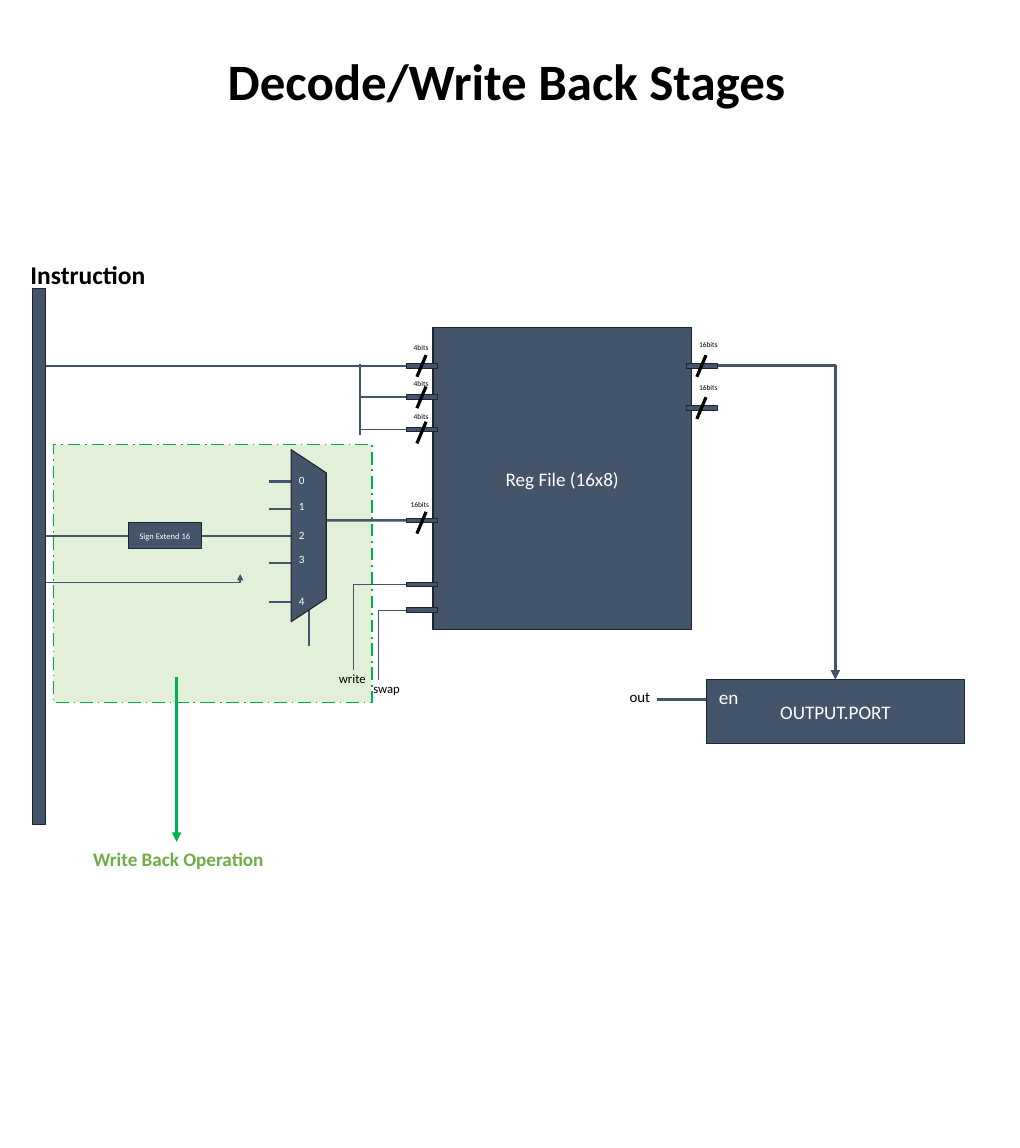
from dataclasses import dataclass

from pptx import Presentation
from pptx.dml.color import RGBColor
from pptx.enum.dml import MSO_LINE
from pptx.enum.shapes import MSO_CONNECTOR, MSO_SHAPE
from pptx.enum.text import MSO_ANCHOR, PP_ALIGN
from pptx.oxml.ns import qn
from pptx.util import Pt
from lxml import etree

RECTANGLE = MSO_SHAPE.RECTANGLE
TRAPEZOID = MSO_SHAPE.TRAPEZOID
STRAIGHT = MSO_CONNECTOR.STRAIGHT
ELBOW = MSO_CONNECTOR.ELBOW
LONG_DASH_DOT = MSO_LINE.LONG_DASH_DOT
LEFT, CENTER = PP_ALIGN.LEFT, PP_ALIGN.CENTER
MIDDLE = MSO_ANCHOR.MIDDLE
LEFT_SIDE = 1


@dataclass(frozen=True)
class Theme:
    """Colours, font and type sizes of the slide."""
    slate: str = "44546A"
    edge: str = "1E252E"
    green: str = "00B050"
    pale_green: str = "E2F0D9"
    leaf: str = "70AD47"
    black: str = "000000"
    white: str = "FFFFFF"
    font: str = "Calibri"
    title: float = 48
    heading: float = 24
    body: float = 18
    signal: float = 14
    control: float = 12
    digit: float = 10.5
    small: float = 8
    bits: float = 7


THEME = Theme()
PORT_WIDTH, PORT_HEIGHT = 29.5, 4.3
LEFT_PORT, RIGHT_PORT = 382.3, 645.8
MUX_LEFT = 290.9


def write(shape, text, size, color, align=LEFT, bold=False):
    """Put one formatted line of text into a shape."""
    shape.text_frame.text = text
    para = shape.text_frame.paragraphs[0]
    para.alignment = align
    font = para.runs[0].font
    font.name, font.size, font.bold = THEME.font, Pt(size), bold
    font.color.rgb = RGBColor.from_string(color)


def add_label(page, text, left, top, width, height, size, color=THEME.black,
              align=LEFT, bold=False):
    """Add a text box with one line of text."""
    box = page.shapes.add_textbox(Pt(left), Pt(top), Pt(width), Pt(height))
    box.text_frame.word_wrap = size > THEME.bits
    write(box, text, size, color, align, bold)


def add_block(page, left, top, width, height, text="", size=THEME.body,
              kind=RECTANGLE, fill=THEME.slate, edge=THEME.edge, weight=1):
    """Add a filled shape, with centred white text if given."""
    block = page.shapes.add_shape(kind, Pt(left), Pt(top), Pt(width), Pt(height))
    block.shadow.inherit = False
    block.fill.solid()
    block.fill.fore_color.rgb = RGBColor.from_string(fill)
    block.line.color.rgb = RGBColor.from_string(edge)
    block.line.width = Pt(weight)
    if text:
        block.text_frame.vertical_anchor = MIDDLE
        block.text_frame.word_wrap = True
        write(block, text, size, THEME.white, CENTER)
    return block


def add_wire(page, start, end, weight=2.25, color=THEME.slate, arrow=False, kind=STRAIGHT):
    """Add a connector between two points."""
    wire = page.shapes.add_connector(kind, *(Pt(value) for value in (*start, *end)))
    wire.line.color.rgb = RGBColor.from_string(color)
    wire.line.width = Pt(weight)
    if arrow:
        etree.SubElement(wire.line._ln, qn("a:tailEnd"), type="triangle")
    etree.SubElement(wire._element.spPr, qn("a:effectLst"))
    return wire


def add_corner(page, start, end, weight, arrow=False):
    """Add a connector that runs sideways, then turns once."""
    wire = add_wire(page, start, end, weight, arrow=arrow, kind=ELBOW)
    wire._element.spPr.find(qn("a:prstGeom")).set("prst", "bentConnector2")


def add_late_elbow(page, start, end, weight, turn):
    """Add an arrowed elbow whose turn sits at a share of its width."""
    wire = add_wire(page, start, end, weight, arrow=True, kind=ELBOW)
    geometry = wire._element.spPr.find(qn("a:prstGeom"))
    guides = geometry.find(qn("a:avLst"))
    etree.SubElement(guides, qn("a:gd"), name="adj1", fmla=f"val {round(turn * 100000)}")


def add_port(page, left, top):
    """Add a small register file port."""
    return add_block(page, left, top, PORT_WIDTH, PORT_HEIGHT)


def add_bus_port(page, left, top, slash_rise, bits, label_left, label_top):
    """Add a port with a bus slash and its width label."""
    port = add_port(page, left, top)
    slash_top = top - slash_rise
    add_wire(page, (left + 18.7, slash_top), (left + 10.1, slash_top + 20.4), 3, THEME.black)
    add_label(page, bits, label_left, label_top, 29.5 if bits == "4bits" else 32.4, 15.8,
              THEME.bits)
    return port


def add_register_file(page):
    """Add the register file with its ports and feeding wires."""
    add_wire(page, (390.2, 344.2), (38.9, 344.2))
    add_block(page, 407.5, 308.2, 243.4, 283.7, "Reg File (16x8)")
    add_bus_port(page, LEFT_PORT, 342, 7.9, "4bits", LEFT_PORT, 319)
    for top, rise, label_top in ((371.5, 7.9, 352.8), (401.8, 5, 384.5)):
        port = add_bus_port(page, LEFT_PORT, top, rise, "4bits", LEFT_PORT, label_top)
        middle = top + PORT_HEIGHT / 2
        branch = add_wire(page, (LEFT_PORT, middle), (339.1, middle), 1.5)
        branch.begin_connect(port, LEFT_SIDE)
    add_wire(page, (339.1, 342.7), (339.1, 409), 1.5)
    data_port = add_bus_port(page, LEFT_PORT, 487.4, 5.8, "16bits", 379.4, 466.6)
    data_wire = add_wire(page, (LEFT_PORT, 489.6), (307.4, 489.6))
    data_wire.begin_connect(data_port, LEFT_SIDE)
    for top, label_top in ((342, 316.1), (381.6, 357.1)):
        add_bus_port(page, RIGHT_PORT, top, 7.9, "16bits", 650.9, label_top)


def add_control(page, name, port_top, wire_end, label_left, label_top):
    """Add a control port, its wire and its name."""
    add_port(page, LEFT_PORT, port_top)
    add_corner(page, (LEFT_PORT, port_top + PORT_HEIGHT / 2), wire_end, 0.5)
    add_label(page, name, label_left, label_top, 49.7, 21.6, THEME.control)


def add_multiplexer(page):
    """Add the write back multiplexer with numbered inputs."""
    inputs = ((452.9, 442.1), (478.8, 466.6), (504, 493.9), (529.9, 516.2), (566.6, 555.8))
    for number, (wire_top, _) in enumerate(inputs):
        add_wire(page, (MUX_LEFT, wire_top), (43.2 if number == 2 else 253.4, wire_top))
    add_wire(page, (MUX_LEFT, 539.3), (MUX_LEFT, 607.7))
    body = add_block(page, 209.5, 487.4, 162, 33.1, kind=TRAPEZOID)
    body.adjustments[0] = 0.66
    body.rotation = 90
    for number, (_, label_top) in enumerate(inputs):
        add_label(page, str(number), 274.3, label_top, 33.1, 20.2, THEME.digit, THEME.white)


def add_output_port(page):
    """Add the output port with its enable and data wires."""
    add_wire(page, (618.5, 658.1), (675.4, 658.1))
    add_block(page, 664.6, 639.4, 243.4, 60.5, "OUTPUT.PORT")
    add_label(page, "en", 669.6, 640.8, 61.2, 28.8, THEME.body, THEME.white)
    add_label(page, "out", 585.4, 643, 61.2, 24.5, THEME.signal)
    add_corner(page, (675.4, 344.2), (786.2, 639.4), 3, arrow=True)


def main():
    """Build the slide and save the deck."""
    deck = Presentation()
    deck.slide_width, deck.slide_height = Pt(960), Pt(1080)
    page = deck.slides.add_slide(deck.slide_layouts[6])
    region = add_block(page, 50.4, 418.3, 299.5, 242.6, fill=THEME.pale_green,
                       edge=THEME.green, weight=1.5)
    region.line.dash_style = LONG_DASH_DOT
    add_label(page, "Decode/Write Back Stages ", 194.4, 43.2, 576, 65.5, THEME.title,
              align=CENTER, bold=True)
    add_register_file(page)
    add_multiplexer(page)
    add_block(page, 31, 271.4, 12.2, 504)
    add_label(page, "Instruction", 21.6, 239.8, 167.8, 36, THEME.heading, bold=True)
    add_block(page, 121, 491.8, 68.4, 24.5, "Sign Extend 16", THEME.small)
    add_control(page, "write", 547.9, (332.6, 630), 311.8, 627.8)
    add_control(page, "swap", 571.7, (355.7, 639.4), 344.2, 637.2)
    add_late_elbow(page, (43.2, 547.9), (226.1, 540), 1.5, 1)
    add_output_port(page)
    add_wire(page, (166.3, 637.2), (166.3, 792), 3, THEME.green, arrow=True)
    add_label(page, "Write Back Operation", 80.6, 793.4, 185, 28.8, THEME.body,
              THEME.leaf, bold=True)
    deck.save("out.pptx")


if __name__ == "__main__":
    main()
